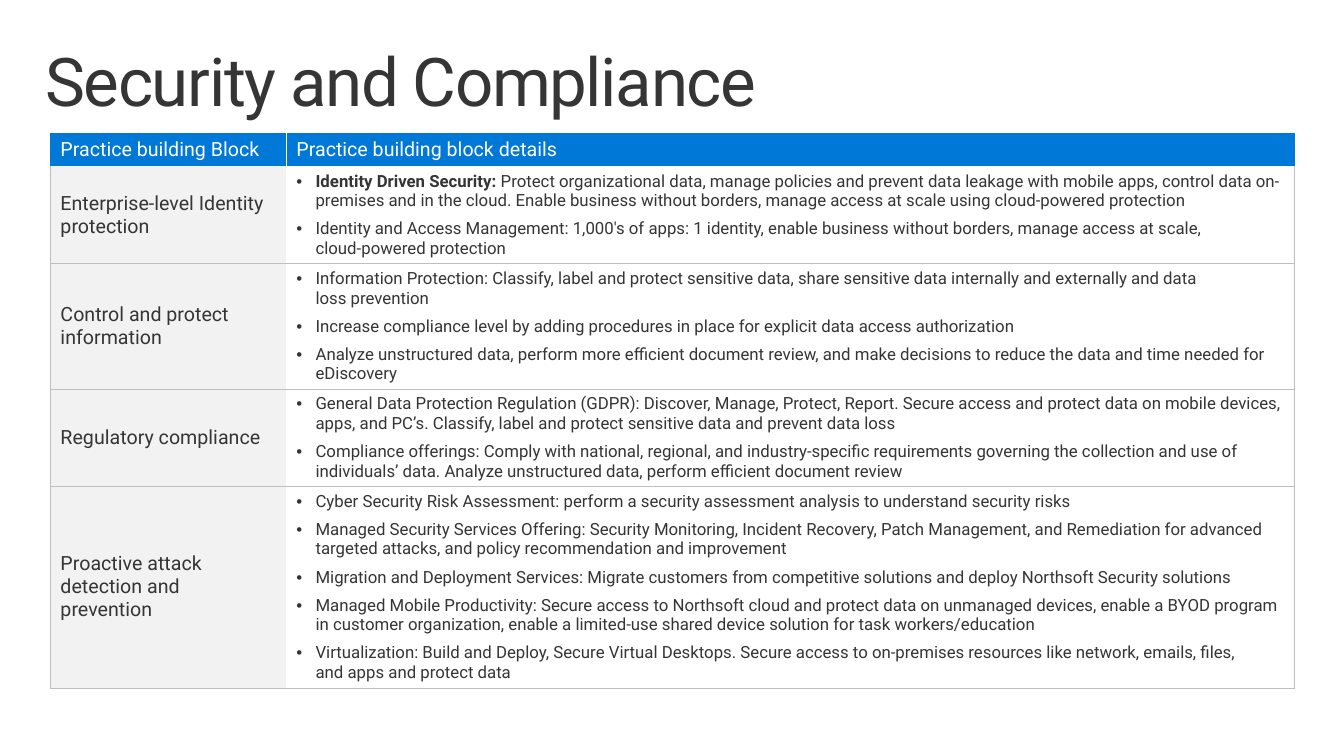
from lxml import etree
from pptx import Presentation
from pptx import util as u
from pptx.dml.color import RGBColor
from pptx.enum import text
from pptx.oxml import ns

HUES = {"ink": "353535", "blue": "0078D7", "white": "FFFFFF",
        "pale": "F2F2F2", "rule": "BFBFBF"}
HEADS = ["Practice building Block", "Practice building block details"]
BLOCKS = [
    ("Enterprise-level Identity protection", 0.96, [
        [("Identity Driven Security: ", True),
         ("Protect organizational data, manage policies and prevent data leakage with mobile apps, "
          "control data on-premises and in the cloud. Enable business without borders, "
          "manage access at scale using cloud-powered protection", False)],
        [("Identity and Access Management: 1,000's of apps: 1 identity, enable business without "
          "borders, manage access at scale,\ncloud-powered protection", False)]]),
    ("Control and protect information", 1.24, [
        [("Information Protection: Classify, label and protect sensitive data, share sensitive data "
          "internally and externally and data\nloss prevention", False)],
        [("Increase compliance level by adding procedures in place for explicit data access "
          "authorization", False)],
        [("Analyze unstructured data, perform more efficient document review, and make decisions "
          "to reduce the data and time needed for eDiscovery", False)]]),
    ("Regulatory compliance", 0.96, [
        [("General Data Protection Regulation (GDPR): Discover, Manage, Protect, Report. Secure "
          "access and protect data on mobile devices, apps, and PC’s. Classify, label and protect "
          "sensitive data and prevent data loss", False)],
        [("Compliance offerings: Comply with national, regional, and industry-specific requirements "
          "governing the collection and use of individuals’ data. Analyze unstructured data, "
          "perform efficient document review", False)]]),
    ("Proactive attack detection and prevention", 2.0, [
        [("Cyber Security Risk Assessment: perform a security assessment analysis to understand "
          "security risks", False)],
        [("Managed Security Services Offering: Security Monitoring, Incident Recovery, Patch "
          "Management, and Remediation for advanced targeted attacks, and policy recommendation "
          "and improvement", False)],
        [("Migration and Deployment Services: Migrate customers from competitive solutions and "
          "deploy Northsoft Security solutions", False)],
        [("Managed Mobile Productivity: Secure access to Northsoft cloud and protect data on "
          "unmanaged devices, enable a BYOD program in customer organization, enable a limited-use "
          "shared device solution for task workers/education", False)],
        [("Virtualization: Build and Deploy, Secure Virtual Desktops. Secure access to on-premises "
          "resources like network, emails, files,\nand apps and protect data", False)]]),
]


class Deck:
    def __init__(self):
        self.prs = Presentation()
        self.prs.slide_width = u.Inches(13.33)
        self.prs.slide_height = u.Inches(7.5)
        self.slide = self.prs.slides.add_slide(self.prs.slide_layouts[5])
        self.font = "Roboto"

    def run(self, para, words, size, hue="ink", bold=False):
        for i, line in enumerate(words.split("\n")):
            if i:
                para.add_line_break()
            run = para.add_run()
            run.text = line
            run.font.name = self.font
            run.font.size = u.Pt(size)
            run.font.bold = bold
            run.font.color.rgb = RGBColor.from_string(HUES[hue])
        return run

    def title(self, words):
        box = self.slide.shapes.title
        box.left, box.top = u.Inches(0.29), u.Inches(0.38)
        box.width, box.height = u.Inches(11.87), u.Inches(0.66)
        frame = box.text_frame
        frame.word_wrap = True
        frame.auto_size = text.MSO_AUTO_SIZE.NONE
        frame.vertical_anchor = text.MSO_ANCHOR.TOP
        frame.margin_left = frame.margin_right = u.Inches(0.16)
        frame.margin_top = frame.margin_bottom = u.Inches(0.1)
        para = frame.paragraphs[0]
        para.alignment = text.PP_ALIGN.LEFT
        para.line_spacing = 0.9
        run = self.run(para, words, 48)
        run.font._element.set("spc", "-100")

    def grid(self, left, top, widths, heights):
        frame = self.slide.shapes.add_table(
            len(heights), len(widths), u.Inches(left), u.Inches(top),
            u.Inches(sum(widths)), u.Inches(sum(heights)))
        table = frame.table
        table.first_row = table.horz_banding = False
        for col, width in zip(table.columns, widths):
            col.width = u.Inches(width)
        for row, height in zip(table.rows, heights):
            row.height = u.Inches(height)
        return table

    def cell(self, cell, fill, edges):
        props = cell._tc.get_or_add_tcPr()
        for side, hue in zip("LRTB", edges):
            line = etree.SubElement(props, ns.qn("a:ln" + side), w=str(u.Pt(0.5)))
            if hue:
                solid = etree.SubElement(line, ns.qn("a:solidFill"))
                etree.SubElement(solid, ns.qn("a:srgbClr"), val=HUES[hue])
            else:
                etree.SubElement(line, ns.qn("a:noFill"))
        if fill:
            cell.fill.solid()
            cell.fill.fore_color.rgb = RGBColor.from_string(HUES[fill])
        else:
            cell.fill.background()
        cell.vertical_anchor = text.MSO_ANCHOR.MIDDLE

    def list(self, cell, items):
        frame = cell.text_frame
        for i, item in enumerate(items):
            para = frame.add_paragraph() if i else frame.paragraphs[0]
            props = para._p.get_or_add_pPr()
            props.set("marL", str(u.Inches(0.19)))
            props.set("indent", str(-u.Inches(0.19)))
            etree.SubElement(props, ns.qn("a:buFont"), typeface="Arial")
            etree.SubElement(props, ns.qn("a:buChar"), char="•")
            para.space_after = u.Pt(6)
            for words, bold in item:
                self.run(para, words, 12, bold=bold)


def main():
    deck = Deck()
    deck.title("Security and Compliance")
    table = deck.grid(0.5, 1.32, [2.34, 10], [0.33] + [block[1] for block in BLOCKS])
    edges = [("blue", "white", "blue", None), ("white", "blue", "blue", None)]
    for col, words in enumerate(HEADS):
        cell = table.cell(0, col)
        deck.cell(cell, "blue", edges[col])
        deck.run(cell.text_frame.paragraphs[0], words, 14, "white")
    for row, (name, height, items) in enumerate(BLOCKS, 1):
        over = "rule" if row > 1 else None
        label, detail = table.cell(row, 0), table.cell(row, 1)
        deck.cell(label, "pale", ("rule", None, over, "rule"))
        deck.run(label.text_frame.paragraphs[0], name, 14)
        deck.cell(detail, None, (None, "rule", over, "rule"))
        deck.list(detail, items)
    deck.prs.save("out.pptx")


if __name__ == "__main__":
    main()
